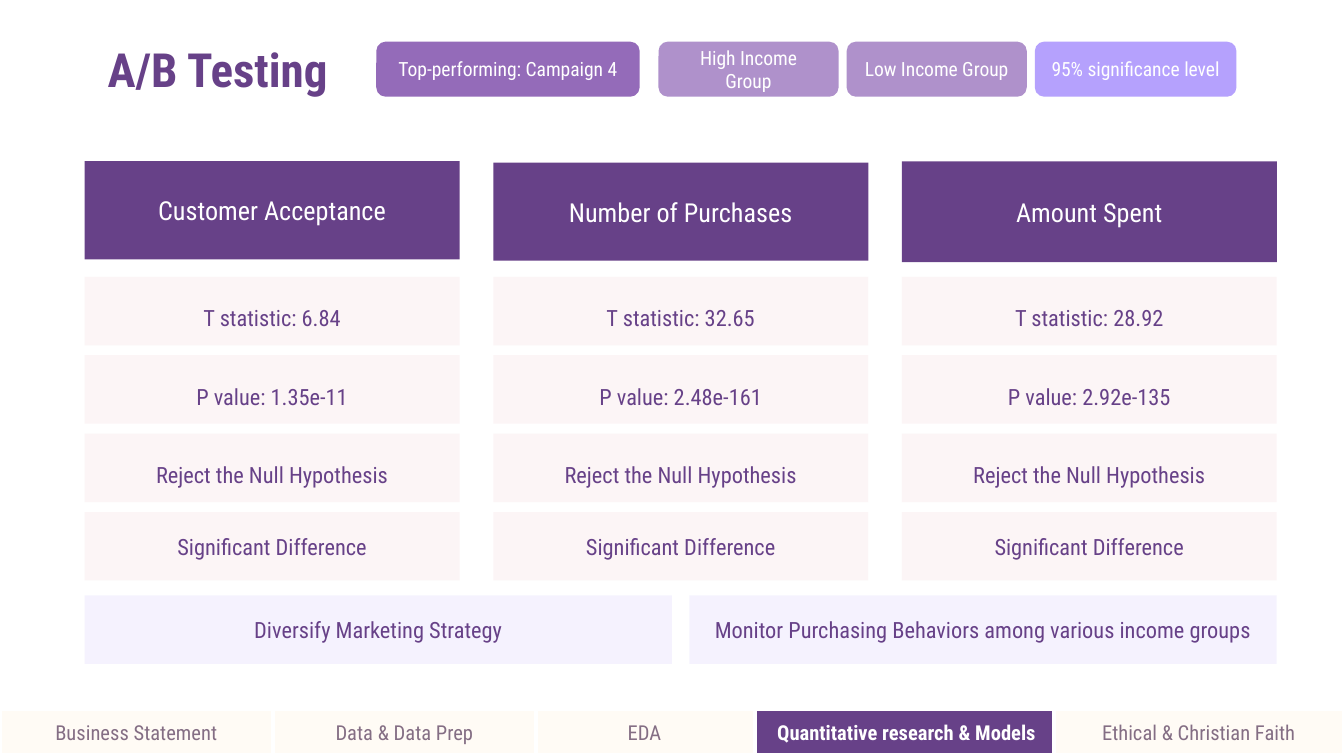
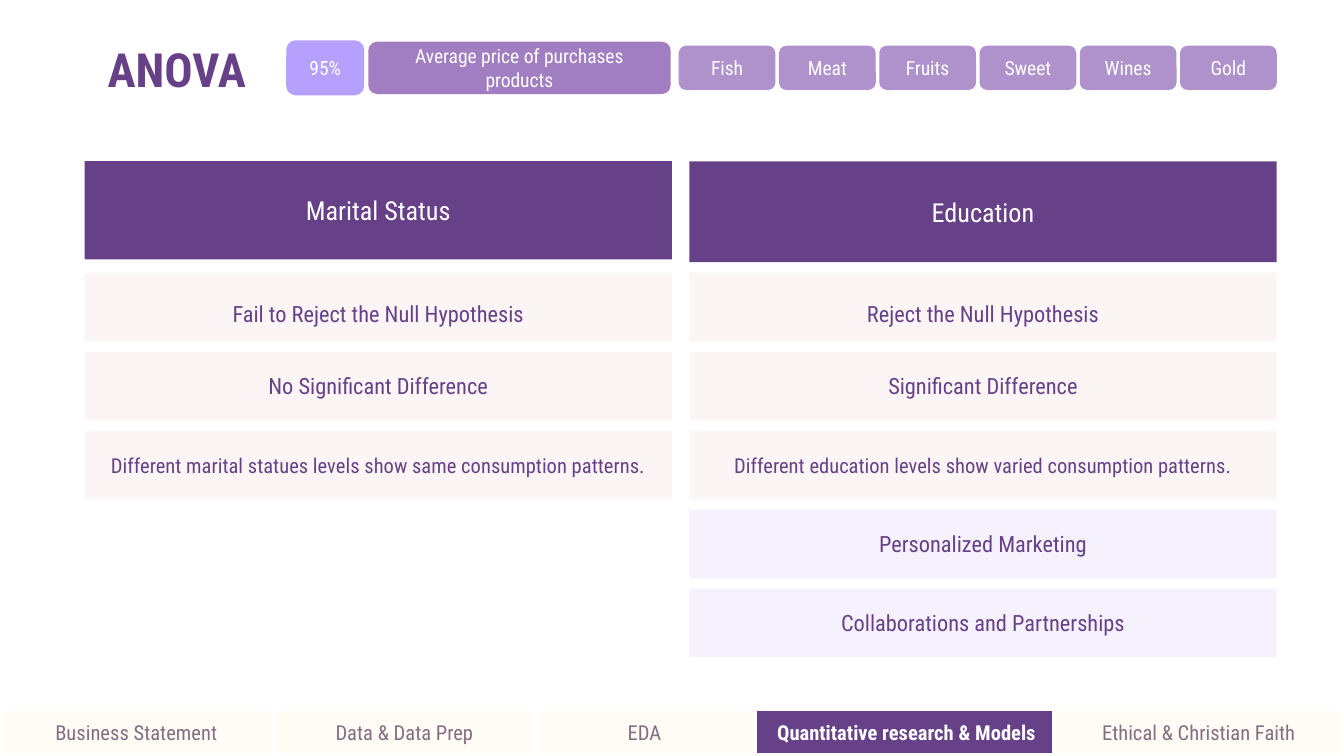
"""Build two slides on A/B testing and ANOVA results."""
from dataclasses import dataclass
from typing import Any, Optional

from lxml.etree import SubElement
from pptx import Presentation
from pptx.dml.color import RGBColor
from pptx.enum.shapes import MSO_SHAPE
from pptx.enum.text import MSO_ANCHOR, MSO_AUTO_SIZE, PP_ALIGN
from pptx.oxml.ns import qn
from pptx.util import Inches, Pt


@dataclass(frozen=True)
class Theme:
    font: str = "Roboto Condensed"
    plum: str = "674188"
    grape: str = "946BB9"
    mauve: str = "A17DC1"
    lilac: str = "AF91CB"
    violet: str = "B5A1FD"
    rose: str = "E8B5BB"
    cream: str = "FFFBF5"
    dusk: str = "846E84"
    white: str = "FFFFFF"
    tint: int = 13
    title: float = 25.2
    head: float = 14
    body: float = 12
    small: float = 11
    pill: float = 10.5


THEME = Theme()


@dataclass(frozen=True)
class Box:
    text: str
    left: float
    top: float
    width: float
    height: float
    fill: str
    ink: str = THEME.white
    size: float = THEME.body
    bold: bool = False
    space: Optional[float] = None
    alpha: Optional[int] = None
    edge: Optional[str] = None
    curve: Optional[float] = None
    pad: float = 0.1
    side: float = 0.1


@dataclass(frozen=True)
class Row:
    text: str
    fill: str = THEME.rose
    size: float = THEME.body
    space: Optional[float] = None


@dataclass(frozen=True)
class Column:
    head: str
    top: float
    height: float
    rows: tuple[Row, ...]


LEFT, RIGHT = 0.63, 5.13
HALF, THIRD = 4.37, 2.79
ROW = 0.51
ROUND = 0.17
TABS = (
    ("Business Statement", 0, 2.03),
    ("EDA", 3.97, 1.65),
    ("Data & Data Prep", 2.03, 1.96),
    ("Quantitative research & Models", 5.62, 2.25),
    ("Ethical & Christian Faith", 7.84, 2.16),
)
ACTIVE = "Quantitative research & Models"


def spread(first: float, last: float, count: int) -> list[float]:
    """Return evenly spaced positions from first to last."""
    step = (last - first) / (count - 1)
    return [first + step * i for i in range(count)]


def write(frame: Any, text: str, *, size: float, ink: str, bold: bool = False,
          align: Any = PP_ALIGN.CENTER, space: Optional[float] = None,
          pad: float = 0.1, side: float = 0.1) -> None:
    """Put formatted text in a frame."""
    frame.text = text
    frame.word_wrap = True
    frame.auto_size = MSO_AUTO_SIZE.NONE
    frame.vertical_anchor = MSO_ANCHOR.MIDDLE
    frame.margin_left = frame.margin_right = Inches(side)
    frame.margin_top = frame.margin_bottom = Inches(pad)
    line = frame.paragraphs[0]
    line.alignment = align
    if space:
        line.line_spacing = space
    font = line.runs[0].font
    font.name, font.size, font.bold = THEME.font, Pt(size), bold
    font.color.rgb = RGBColor.from_string(ink)


def draw(shapes: Any, box: Box) -> None:
    """Draw one filled box with its text."""
    kind = MSO_SHAPE.RECTANGLE if box.curve is None else MSO_SHAPE.ROUNDED_RECTANGLE
    shape = shapes.add_shape(kind, Inches(box.left), Inches(box.top),
                             Inches(box.width), Inches(box.height))
    shape.shadow.inherit = False
    if box.curve is not None:
        shape.adjustments[0] = box.curve
    shape.fill.solid()
    shape.fill.fore_color.rgb = RGBColor.from_string(box.fill)
    if box.alpha:
        paint = shape.fill._xPr.find(qn("a:solidFill"))[0]
        SubElement(paint, qn("a:alpha")).set("val", str(box.alpha * 1000))
    if box.edge:
        shape.line.color.rgb = RGBColor.from_string(box.edge)
        shape.line.width = Pt(2)
    else:
        shape.line.fill.background()
    write(shape.text_frame, box.text, size=box.size, ink=box.ink, bold=box.bold,
          space=box.space, pad=box.pad, side=box.side)


def pill(text: str, left: float, width: float, fill: str, top: float = 0.31,
         height: float = 0.41, side: float = 0.1) -> Box:
    """Describe a rounded label beside the title."""
    return Box(text, left, top, width, height, fill, size=THEME.pill,
               curve=ROUND, side=side)


def card(row: Row, left: float, top: float, width: float) -> Box:
    """Describe a tinted row."""
    return Box(row.text, left, top, width, ROW, row.fill, THEME.plum, row.size,
               space=row.space, alpha=THEME.tint)


def stack(shapes: Any, cols: tuple[Column, ...], lefts: list[float],
          width: float, tops: list[float]) -> None:
    """Draw columns of a header and its rows."""
    for col, left in zip(cols, lefts):
        draw(shapes, Box(col.head, left, col.top, width, col.height, THEME.plum,
                         size=THEME.head, curve=0))
        for row, top in zip(col.rows, tops):
            draw(shapes, card(row, left, top, width))


def start(deck: Any, title: str, pills: list[Box]) -> Any:
    """Add a slide with its title, labels and footer, and return its shapes."""
    shapes = deck.slides.add_slide(deck.slide_layouts[5]).shapes
    head = shapes.title
    head.left, head.top = Inches(0.7), Inches(0.31)
    head.width, head.height = Inches(5.54), Inches(0.41)
    write(head.text_frame, title, size=THEME.title, ink=THEME.plum, bold=True,
          align=PP_ALIGN.LEFT)
    for box in pills:
        draw(shapes, box)
    group = shapes.add_group_shape()
    for text, left, width in TABS:
        live = text == ACTIVE
        draw(group.shapes, Box(
            text, left, 5.28, width, 0.34, THEME.plum if live else THEME.cream,
            THEME.white if live else THEME.dusk, THEME.small, bold=live,
            edge=THEME.white, pad=0.05))
    return shapes


def tests(deck: Any) -> None:
    """Build the A/B testing slide."""
    shapes = start(deck, "A/B Testing", [
        pill("Top-performing: Campaign 4", 2.8, 1.96, THEME.grape),
        pill("High Income Group", 4.9, 1.34, THEME.lilac, side=0.15),
        pill("Low Income Group", 6.3, 1.34, THEME.lilac),
        pill("95% significance level", 7.7, 1.5, THEME.violet),
    ])
    stats = (
        ("Customer Acceptance", 1.2, 0.73, "6.84", "1.35e-11"),
        ("Number of Purchases", 1.21, 0.73, "32.65", "2.48e-161"),
        ("Amount Spent", 1.2, 0.75, "28.92", "2.92e-135"),
    )
    cols = tuple(
        Column(head, top, height, (
            Row(f"T statistic: {score}", space=1.5),
            Row(f"P value: {chance}", space=1.5),
            Row("Reject the Null Hypothesis", space=1.5),
            Row("Significant Difference"),
        ))
        for head, top, height, score, chance in stats
    )
    stack(shapes, cols, spread(LEFT, 6.71, 3), THIRD, spread(2.06, 3.81, 4))
    plans = ("Diversify Marketing Strategy",
             "Monitor Purchasing Behaviors among various income groups")
    for text, left in zip(plans, (LEFT, RIGHT)):
        draw(shapes, card(Row(text, THEME.violet), left, 4.43, HALF))


def anova(deck: Any) -> None:
    """Build the ANOVA slide."""
    goods = ("Fish", "Meat", "Fruits", "Sweet", "Wines", "Gold")
    pills = [pill(text, left, 0.72, THEME.lilac, 0.34, 0.33)
             for text, left in zip(goods, spread(5.05, 8.78, len(goods)))]
    pills += [
        pill("Average price of purchases products", 2.74, 2.25, THEME.mauve,
             height=0.39),
        pill("95%", 2.13, 0.58, THEME.violet, 0.3),
    ]
    shapes = start(deck, "ANOVA", pills)
    cols = (
        Column("Marital Status", 1.2, 0.73, (
            Row("Fail to Reject the Null Hypothesis", space=1.5),
            Row("No Significant Difference"),
            Row("Different marital statues levels show same consumption patterns.",
                size=THEME.small),
        )),
        Column("Education", 1.2, 0.75, (
            Row("Reject the Null Hypothesis", space=1.5),
            Row("Significant Difference"),
            Row("Different education levels show varied consumption patterns.",
                size=THEME.small),
            Row("Personalized Marketing", THEME.violet),
            Row("Collaborations and Partnerships", THEME.violet),
        )),
    )
    stack(shapes, cols, [LEFT, RIGHT], HALF, spread(2.03, 4.38, 5))


def main() -> None:
    """Build and save the deck."""
    deck = Presentation()
    deck.slide_width = Inches(10)
    deck.slide_height = deck.slide_width * 9 // 16
    tests(deck)
    anova(deck)
    deck.save("out.pptx")


if __name__ == "__main__":
    main()
